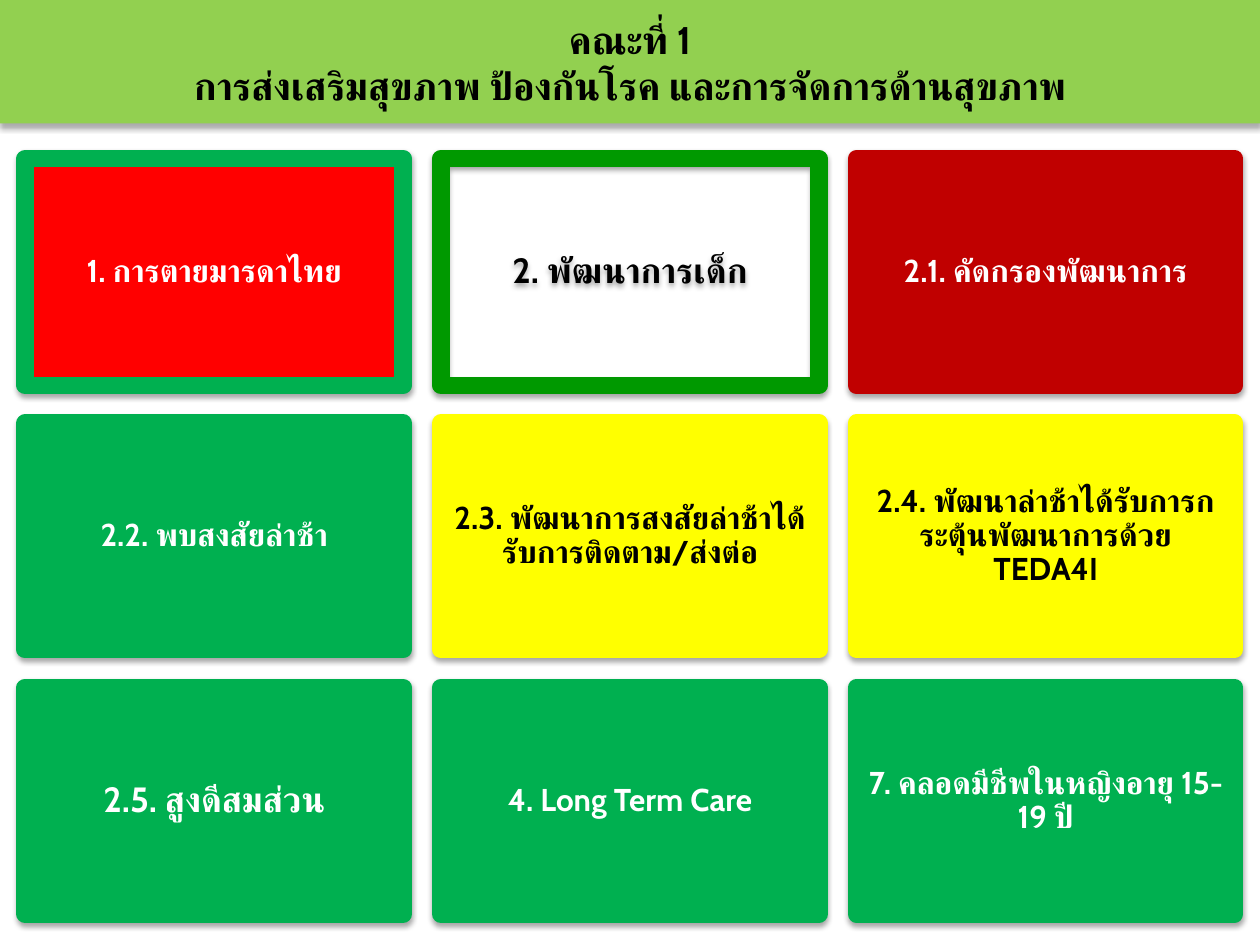
from lxml.etree import SubElement
from pptx import Presentation
from pptx.dml.color import RGBColor
from pptx.enum.shapes import MSO_SHAPE as Shape
from pptx.enum.text import MSO_ANCHOR as Anchor, PP_ALIGN as Align
from pptx.oxml.ns import qn
from pptx.util import Cm, Pt

COLORS = {
    "black": "000000", "white": "FFFFFF", "lime": "92D050",
    "red": "FF0000", "dark red": "C00000", "yellow": "FFFF00",
    "green": "00B050", "deep green": "009900",
}
FONT = "Cabin"

HEADING = ["คณะที่ 1", "การส่งเสริมสุขภาพ ป้องกันโรค และการจัดการด้านสุขภาพ"]

# Indicator, fill, border, text colour, text size
INDICATORS = [
    ("1. การตายมารดาไทย", "red", "green", "white", 18),
    ("2. พัฒนาการเด็ก", None, "deep green", "black", 20),
    ("2.1. คัดกรองพัฒนาการ", "dark red", "dark red", "white", 18),
    ("2.2. พบสงสัยล่าช้า", "green", "green", "white", 18),
    ("2.3. พัฒนาการสงสัยล่าช้าได้รับการติดตาม/ส่งต่อ", "yellow", "yellow", "black", 18),
    ("2.4. พัฒนาล่าช้าได้รับการกระตุ้นพัฒนาการด้วย TEDA4I", "yellow", "yellow", "black", 18),
    ("2.5. สูงดีสมส่วน", "green", "green", "white", 20),
    ("4. Long Term Care", "green", "green", "white", 18),
    ("7. คลอดมีชีพในหญิงอายุ 15-19 ปี", "green", "green", "white", 18),
]

SLIDE_W, SLIDE_H = 25.4, 19.05
HEADING_H = 2.49
COLUMNS = 3
CARD_W, CARD_H, GAP = 7.62, 4.57, 0.76
GRID_TOP = 3.2
GRID_LEFT = (SLIDE_W - COLUMNS * CARD_W - (COLUMNS - 1) * GAP) / 2


def rgb(name):
    return RGBColor.from_string(COLORS[name])


def cast_shadow(block, opacity, blur, distance):
    """Give the block a soft shadow falling straight down."""
    block.shadow.inherit = False
    effects = block._element.spPr.find(qn("a:effectLst"))
    shadow = SubElement(effects, qn("a:outerShdw"), blurRad=str(Pt(blur)),
                        dist=str(Pt(distance)), dir="5400000", rotWithShape="0")
    color = SubElement(shadow, qn("a:srgbClr"), val=COLORS["black"])
    SubElement(color, qn("a:alpha"), val=str(opacity * 1000))


def add_block(slide, left, top, width, height, lines, fill, border, ink, size):
    block = slide.shapes.add_shape(Shape.RECTANGLE, Cm(left), Cm(top), Cm(width), Cm(height))
    if fill:
        block.fill.solid()
        block.fill.fore_color.rgb = rgb(fill)
    else:
        block.fill.background()
    if border:
        block.line.color.rgb = rgb(border)
        block.line.width = Pt(10)
    else:
        block.line.fill.background()

    frame = block.text_frame
    frame.word_wrap = True
    frame.vertical_anchor = Anchor.MIDDLE
    frame.text = "\n".join(lines)
    for paragraph in frame.paragraphs:
        paragraph.alignment = Align.CENTER
        for run in paragraph.runs:
            run.font.name, run.font.size, run.font.bold = FONT, Pt(size), True
            run.font.color.rgb = rgb(ink)
            SubElement(run.font._element, qn("a:cs"), typeface=FONT)
    return block


def add_card(slide, index, indicator, fill, border, ink, size):
    row, column = divmod(index, COLUMNS)
    card = add_block(slide, GRID_LEFT + column * (CARD_W + GAP), GRID_TOP + row * (CARD_H + GAP),
                     CARD_W, CARD_H, [indicator], fill, border, ink, size)
    cast_shadow(card, opacity=35, blur=3, distance=1.8)
    frame = card.text_frame
    inset = Cm(size / 100)
    frame.margin_left = frame.margin_right = frame.margin_top = frame.margin_bottom = inset
    frame.paragraphs[0].line_spacing = 0.9


def main():
    deck = Presentation()
    deck.slide_width, deck.slide_height = Cm(SLIDE_W), Cm(SLIDE_H)
    slide = deck.slides.add_slide(deck.slide_layouts[6])
    heading = add_block(slide, 0, 0, SLIDE_W, HEADING_H, HEADING, "lime", None, "black", 22)
    cast_shadow(heading, opacity=32, blur=3.5, distance=2.2)
    for index, indicator in enumerate(INDICATORS):
        add_card(slide, index, *indicator)
    deck.save("out.pptx")


if __name__ == "__main__":
    main()
